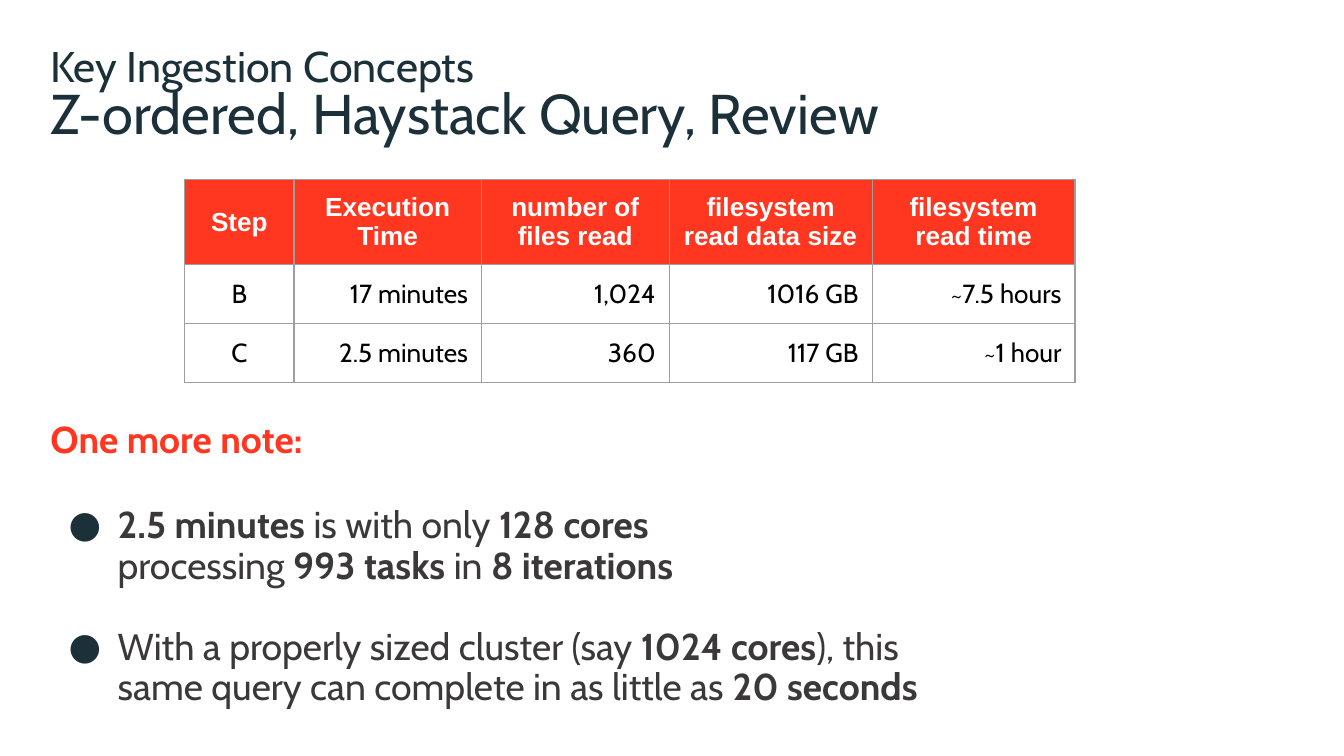
from dataclasses import dataclass

from lxml import etree
from pptx import Presentation
from pptx.dml.color import RGBColor
from pptx.enum.text import MSO_ANCHOR, MSO_AUTO_SIZE, PP_ALIGN
from pptx.oxml.ns import qn
from pptx.util import Pt

PX = 9525  # EMU in one px, 96 px to the inch
LEFT, CENTER, RIGHT = PP_ALIGN.LEFT, PP_ALIGN.CENTER, PP_ALIGN.RIGHT
TOP, MIDDLE = MSO_ANCHOR.TOP, MSO_ANCHOR.MIDDLE
NO_FIT = MSO_AUTO_SIZE.NONE

NAVY = RGBColor(0x1B, 0x30, 0x38)
RED = RGBColor(0xFF, 0x36, 0x20)
GRAY = RGBColor(0x3A, 0x38, 0x38)
BORDER = RGBColor(0x9E, 0x9E, 0x9E)
BLACK = RGBColor(0, 0, 0)
WHITE = RGBColor(0xFF, 0xFF, 0xFF)


@dataclass(frozen=True)
class Box:
    left: int
    top: int
    width: int
    height: int

    def emu(self) -> list[int]:
        return [v * PX for v in (self.left, self.top, self.width, self.height)]


@dataclass(frozen=True)
class Column:
    heading: str
    width: int
    align: PP_ALIGN
    values: tuple[str, ...]


TITLE_BOX = Box(36, 24, 923, 40)
SUBTITLE_BOX = Box(36, 56, 924, 48)
BODY_BOX = Box(36, 297, 924, 128)
TABLE_LEFT, TABLE_TOP = 132, 128
ROW_HEIGHTS = (60, 42, 42)

COLUMNS = (
    Column("Step", 78, CENTER, ("B", "C")),
    Column("Execution\nTime", 134, RIGHT, ("17 minutes", "2.5 minutes")),
    Column("number of\nfiles read", 134, RIGHT, ("1,024", "360")),
    Column("filesystem\nread data size", 145, RIGHT, ("1016 GB", "117 GB")),
    Column("filesystem\nread time", 145, RIGHT, ("~7.5 hours", "~1 hour")),
)
BULLETS = (
    "**2.5 minutes** is with only **128 cores**\n"
    "processing **993 tasks** in **8 iterations**",
    "With a properly sized cluster (say **1024 cores**), this\n"
    "same query can complete in as little as **20 seconds**",
)


def write(p, text: str, *, size: int, color: RGBColor, font: str = "Cabin",
          align: PP_ALIGN = LEFT, spacing: float = 1.0, after: int = 0) -> None:
    """Fill a paragraph; ** switches bold on and off, \\n breaks the line."""
    p.alignment = align
    p.line_spacing = spacing
    p.space_before, p.space_after = Pt(0), Pt(after)
    for i, part in enumerate(text.split("**")):
        for j, line in enumerate(part.split("\n")):
            if j:
                p.add_line_break()
            if line:
                r = p.add_run()
                r.text = line
                r.font.name, r.font.size = font, Pt(size)
                r.font.bold = i % 2 == 1
                r.font.color.rgb = color


def place(s, box: Box, inset: int):
    """Position a text shape and return its text frame."""
    s.left, s.top, s.width, s.height = box.emu()
    tf = s.text_frame
    tf.word_wrap, tf.auto_size, tf.vertical_anchor = True, NO_FIT, TOP
    tf.margin_left = tf.margin_right = 0
    tf.margin_top = tf.margin_bottom = inset * PX
    return tf


def solid(parent, tag: str, color: RGBColor) -> None:
    fill = etree.SubElement(parent, qn(tag))
    etree.SubElement(fill, qn("a:srgbClr"), val=str(color))


def set_bullet(p, char: str = "") -> None:
    """Give the paragraph a hanging bullet, or none without a character."""
    pPr = p._p.get_or_add_pPr()
    pPr.set("marL", str(48 * PX if char else 0))
    pPr.set("indent", str(-35 * PX if char else 0))
    if char:
        solid(pPr, "a:buClr", NAVY)
        etree.SubElement(pPr, qn("a:buFont"), typeface="Cabin")
        etree.SubElement(pPr, qn("a:buChar"), char=char)
    else:
        etree.SubElement(pPr, qn("a:buNone"))


def fill_cell(cell, text: str, fill: RGBColor, anchor: MSO_ANCHOR, **fmt) -> None:
    cell.margin_left = cell.margin_right = Pt(7.2)
    cell.margin_top = cell.margin_bottom = Pt(7.2)
    cell.vertical_anchor = anchor
    write(cell.text_frame.paragraphs[0], text, size=14, **fmt)
    tcPr = cell._tc.get_or_add_tcPr()
    for side in ("a:lnL", "a:lnR", "a:lnT", "a:lnB"):
        ln = etree.SubElement(tcPr, qn(side), w=str(Pt(0.75)))
        solid(ln, "a:solidFill", BORDER)
    cell.fill.solid()
    cell.fill.fore_color.rgb = fill


def add_results_table(slide) -> None:
    box = Box(TABLE_LEFT, TABLE_TOP, sum(c.width for c in COLUMNS), sum(ROW_HEIGHTS))
    table = slide.shapes.add_table(len(ROW_HEIGHTS), len(COLUMNS), *box.emu()).table
    for row, height in zip(table.rows, ROW_HEIGHTS):
        row.height = height * PX
    for i, col in enumerate(COLUMNS):
        table.columns[i].width = col.width * PX
        fill_cell(table.cell(0, i), f"**{col.heading}**", RED, MIDDLE,
                  color=WHITE, font="Arial", align=CENTER)
        for j, value in enumerate(col.values, start=1):
            fill_cell(table.cell(j, i), value, WHITE, TOP, color=BLACK, align=col.align)


def main() -> None:
    prs = Presentation()
    prs.slide_width, prs.slide_height = 960 * PX, 540 * PX
    slide = prs.slides.add_slide(prs.slide_layouts[1])

    tf = place(slide.shapes.title, TITLE_BOX, 4)
    write(tf.paragraphs[0], "Key Ingestion Concepts", size=23, color=NAVY)

    add_results_table(slide)

    tf = place(slide.placeholders[1], BODY_BOX, 4)
    p = tf.paragraphs[0]
    write(p, "**One more note:**", size=20, color=RED, spacing=0.9, after=24)
    set_bullet(p)
    for text in BULLETS:
        p = tf.add_paragraph()
        write(p, text, size=20, color=GRAY, spacing=0.9, after=22)
        set_bullet(p, "●")

    tf = place(slide.shapes.add_textbox(*SUBTITLE_BOX.emu()), SUBTITLE_BOX, 0)
    write(tf.paragraphs[0], "Z-ordered, Haystack Query, Review", size=30, color=NAVY)

    prs.save("out.pptx")


if __name__ == "__main__":
    main()
